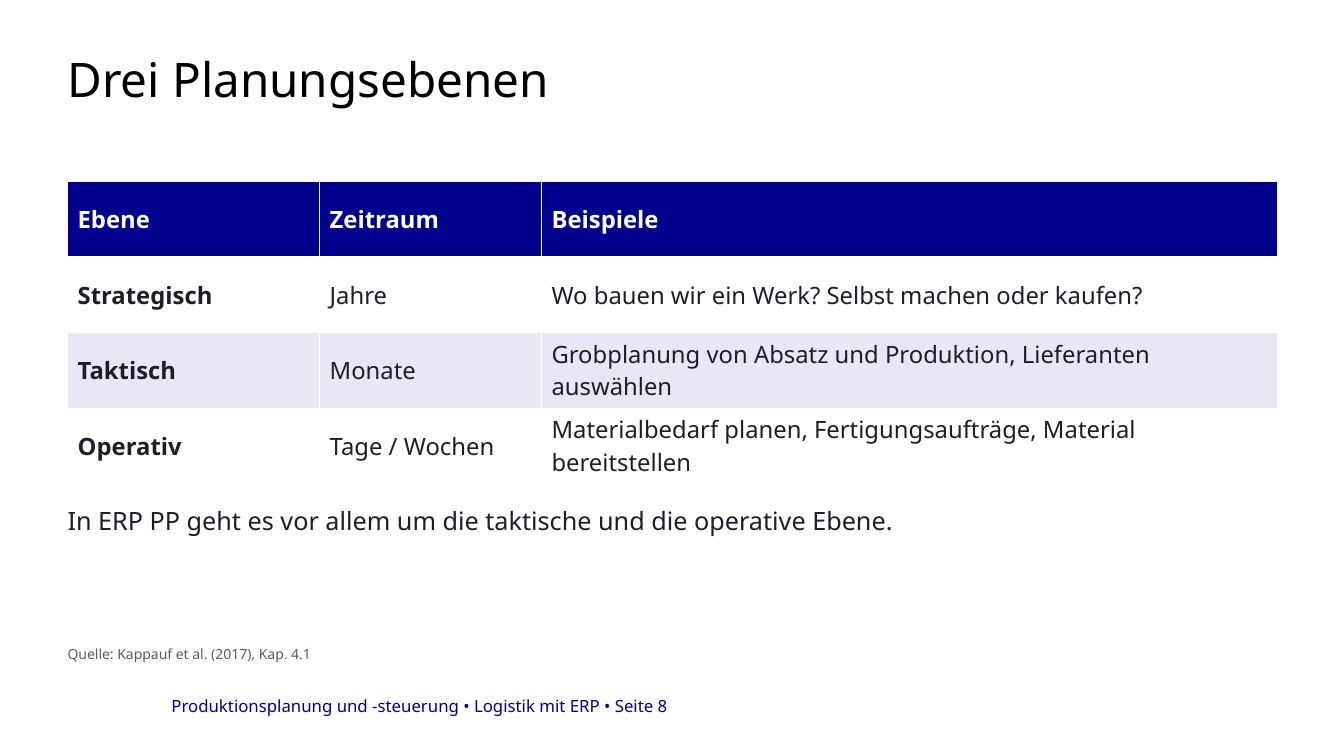
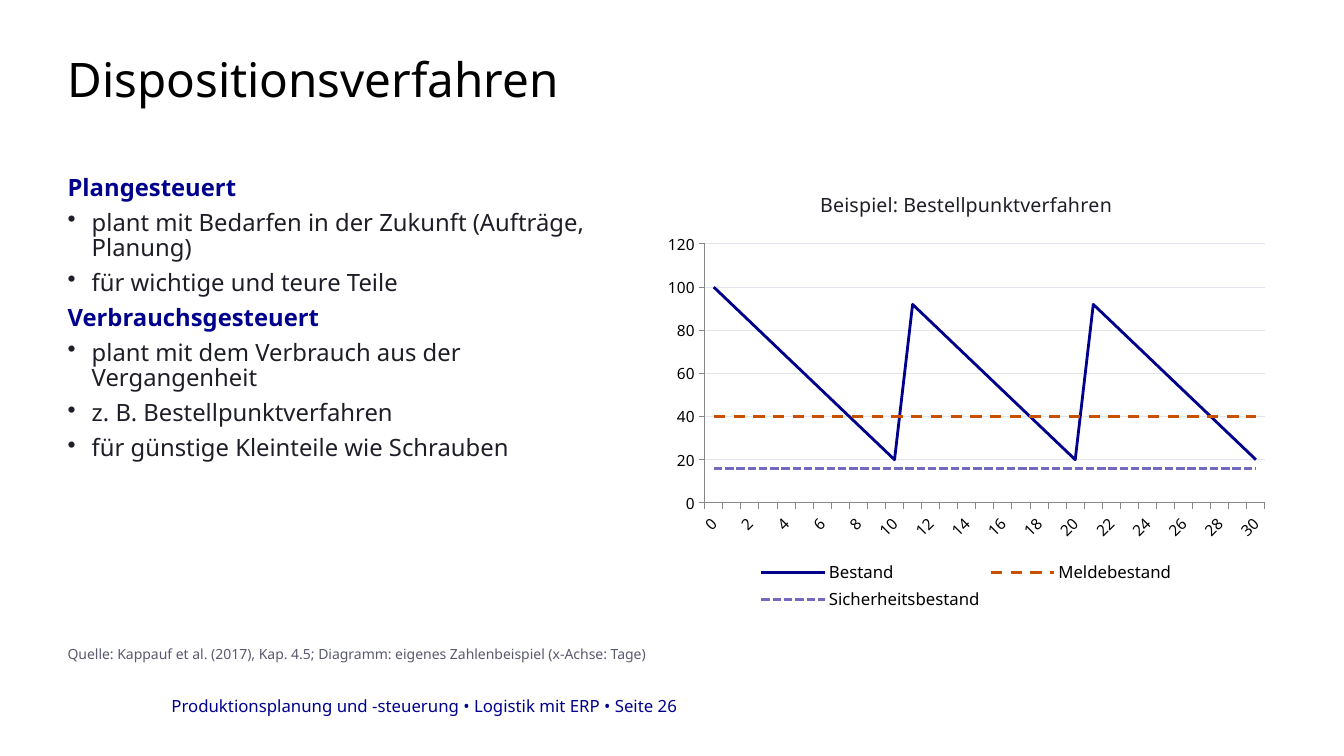
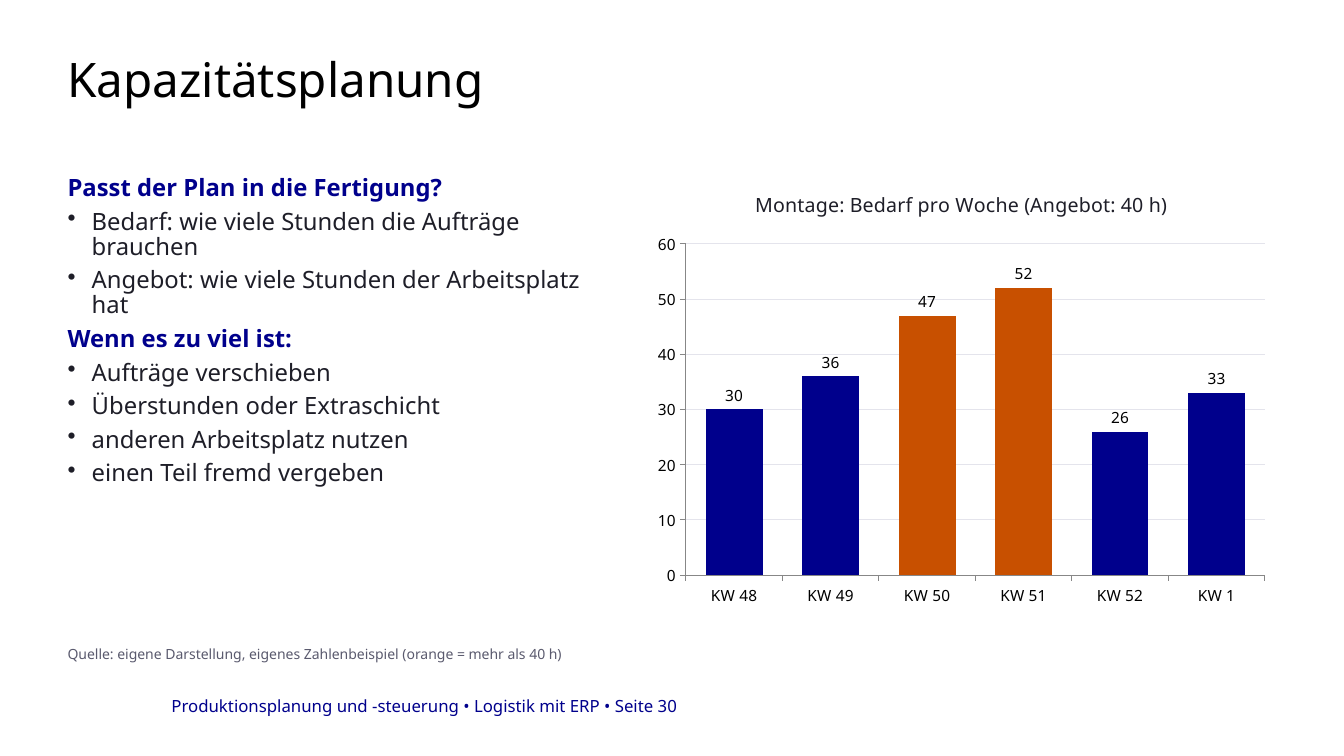
from lxml import etree
from pptx import Presentation
from pptx import util as u
from pptx.chart.data import CategoryChartData
from pptx.dml.color import RGBColor
from pptx.enum import chart as ch, dml, text
from pptx.oxml import parse_xml
from pptx.oxml.ns import nsdecls, qn

# Content
TABLE = [
    ("Ebene", "Zeitraum", "Beispiele"),
    ("Strategisch", "Jahre", "Wo bauen wir ein Werk? Selbst machen oder kaufen?"),
    ("Taktisch", "Monate", "Grobplanung von Absatz und Produktion, Lieferanten auswählen"),
    ("Operativ", "Tage / Wochen",
     "Materialbedarf planen, Fertigungsaufträge, Material bereitstellen"),
]
COL_WIDTHS = (250, 220, 730)
ROW_HEIGHT = 75
TABLE_NOTE = "In ERP PP geht es vor allem um die taktische und die operative Ebene."

METHODS = [
    ("Plangesteuert", [
        "plant mit Bedarfen in der Zukunft (Aufträge, Planung)",
        "für wichtige und teure Teile"]),
    ("Verbrauchsgesteuert", [
        "plant mit dem Verbrauch aus der Vergangenheit",
        "z. B. Bestellpunktverfahren",
        "für günstige Kleinteile wie Schrauben"]),
]
CAPACITY = [
    ("Passt der Plan in die Fertigung?", [
        "Bedarf: wie viele Stunden die Aufträge brauchen",
        "Angebot: wie viele Stunden der Arbeitsplatz hat"]),
    ("Wenn es zu viel ist:", [
        "Aufträge verschieben",
        "Überstunden oder Extraschicht",
        "anderen Arbeitsplatz nutzen",
        "einen Teil fremd vergeben"]),
]

DAYS = range(31)
STOCK = [100, *range(92, 19, -8)] + 2 * [*range(92, 19, -8)]
REORDER, SAFETY = 40, 16
WEEKS = {"KW 48": 30, "KW 49": 36, "KW 50": 47, "KW 51": 52, "KW 52": 26, "KW 1": 33}
SUPPLY = 40

# Shared look
FONT = "Noto Sans"
BLACK, WHITE, NAVY, INK = "000000", "FFFFFF", "00008C", "1E1E28"
GREY, BAND, GRID, ORANGE, VIOLET = "5A5A6E", "E8E8F5", "E4E4EC", "C85000", "7369BE"
LEFT, WIDTH = 67, 1200
FOOTER = "Produktionsplanung und -steuerung • Logistik mit ERP • Seite {}"


def px(n):
    return u.Emu(n * 9144)


def rgb(h):
    return RGBColor.from_string(h)


def style(font, size, color, bold=False):
    for name, value in dict(name=FONT, size=u.Pt(size), bold=bold).items():
        setattr(font, name, value)
    font.color.rgb = rgb(color)


def set_frame(tf, top=0):
    values = dict(margin_left=0, margin_top=px(top), margin_right=0, margin_bottom=0,
                  word_wrap=True, vertical_anchor=text.MSO_ANCHOR.TOP,
                  auto_size=text.MSO_AUTO_SIZE.NONE)
    for name, value in values.items():
        setattr(tf, name, value)


def add_run(p, words, size, color, bold=False):
    r = p.add_run()
    r.text = words
    style(r.font, size, color, bold)


def add_line(slide, box, words, size, color, spacing=0.9):
    tf = slide.shapes.add_textbox(*map(px, box)).text_frame
    set_frame(tf)
    tf.paragraphs[0].line_spacing = spacing
    add_run(tf.paragraphs[0], words, size, color)


def add_slide(prs, title, source, page):
    slide = prs.slides.add_slide(prs.slide_layouts[5])
    sp = slide.shapes.title
    sp.left, sp.top, sp.width, sp.height = map(px, (LEFT, 44, WIDTH, 71))
    set_frame(sp.text_frame, top=12)
    p = sp.text_frame.paragraphs[0]
    p.alignment, p.line_spacing = text.PP_ALIGN.LEFT, 0.9
    add_run(p, title, 34, BLACK)
    add_line(slide, (LEFT, 642, WIDTH, 30), source, 10, GREY)
    add_line(slide, (170, 690, 791, 20), FOOTER.format(page), 12, NAVY, spacing=1.0)
    return slide


def add_outline(slide, sections, width, gap):
    tf = slide.shapes.add_textbox(*map(px, (LEFT, 175, width, 440))).text_frame
    set_frame(tf)
    lines = [(words, words == head) for head, items in sections for words in (head, *items)]
    for i, (words, is_head) in enumerate(lines):
        p = tf.add_paragraph() if i else tf.paragraphs[0]
        p.line_spacing, p.space_after = 0.88, u.Pt(gap)
        if not is_head:
            pPr = p._p.get_or_add_pPr()
            pPr.set("marL", str(px(24)))
            pPr.set("indent", str(-px(24)))
            etree.SubElement(pPr, qn("a:buChar")).set("char", "•")
        add_run(p, words, 17, NAVY if is_head else INK, is_head)


def set_borders(cell):
    tcPr = cell._tc.get_or_add_tcPr()
    for i, side in enumerate("LRTB"):
        tcPr.insert(i, parse_xml(
            f'<a:ln{side} {nsdecls("a")} w="12700"><a:solidFill>'
            f'<a:srgbClr val="{WHITE}"/></a:solidFill></a:ln{side}>'))


def add_level_table(slide):
    box = (LEFT, 180, WIDTH, ROW_HEIGHT * len(TABLE))
    table = slide.shapes.add_table(len(TABLE), len(COL_WIDTHS), *map(px, box)).table
    for col, width in zip(table.columns, COL_WIDTHS):
        col.width = px(width)
    for i, row in enumerate(TABLE):
        table.rows[i].height = px(ROW_HEIGHT)
        for j, words in enumerate(row):
            cell = table.cell(i, j)
            cell.vertical_anchor = text.MSO_ANCHOR.MIDDLE
            cell.fill.solid()
            cell.fill.fore_color.rgb = rgb(NAVY if i == 0 else BAND if i == 2 else WHITE)
            add_run(cell.text_frame.paragraphs[0], words, 17,
                    INK if i else WHITE, i == 0 or j == 0)
            set_borders(cell)


def add_chart(slide, kind, left, title, cats, series, top, step):
    data = CategoryChartData()
    data.categories = cats
    for name, values in series:
        data.add_series(name, values)
    box = (left, 170, LEFT + WIDTH - left, 440)
    chart = slide.shapes.add_chart(kind, *map(px, box), data).chart
    style(chart.font, 18, BLACK)
    chart.has_legend = False
    chart.has_title = True
    add_run(chart.chart_title.text_frame.paragraphs[0], title, 14, INK)
    chart.chart_title.include_in_layout = False
    for axis in (chart.category_axis, chart.value_axis):
        axis.major_tick_mark = ch.XL_TICK_MARK.OUTSIDE
        axis.minor_tick_mark = ch.XL_TICK_MARK.NONE
        style(axis.tick_labels.font, 11, BLACK)
    axis = chart.value_axis
    axis.minimum_scale, axis.maximum_scale, axis.major_unit = 0, top, step
    axis.has_major_gridlines = True
    grid = axis.major_gridlines.format.line
    grid.color.rgb, grid.width = rgb(GRID), u.Pt(0.75)
    chart.plots[0].vary_by_categories = False
    return chart


def add_stock_chart(slide):
    series = [("Bestand", STOCK), ("Meldebestand", [REORDER] * len(DAYS)),
              ("Sicherheitsbestand", [SAFETY] * len(DAYS))]
    chart = add_chart(slide, ch.XL_CHART_TYPE.LINE, 650, "Beispiel: Bestellpunktverfahren",
                      [str(d) for d in DAYS], series, 120, 20)
    chart.has_legend = True
    chart.legend.position = ch.XL_LEGEND_POSITION.BOTTOM
    chart.legend.include_in_layout = False
    style(chart.legend.font, 12, BLACK)
    looks = [(NAVY, None), (ORANGE, dml.MSO_LINE.DASH), (VIOLET, dml.MSO_LINE.SQUARE_DOT)]
    for s, (color, dash) in zip(chart.plots[0].series, looks):
        s.smooth = False
        s.marker.style = ch.XL_MARKER_STYLE.NONE
        line = s.format.line
        line.color.rgb, line.width = rgb(color), u.Pt(2)
        if dash:
            line.dash_style = dash


def add_load_chart(slide):
    chart = add_chart(slide, ch.XL_CHART_TYPE.COLUMN_CLUSTERED, 640,
                      f"Montage: Bedarf pro Woche (Angebot: {SUPPLY} h)",
                      list(WEEKS), [("Bedarf", list(WEEKS.values()))], 60, 10)
    plot = chart.plots[0]
    plot.gap_width = 70
    s = plot.series[0]
    s.invert_if_negative = False
    s.format.fill.solid()
    s.format.fill.fore_color.rgb = rgb(NAVY)
    for i, hours in enumerate(WEEKS.values()):
        if hours > SUPPLY:
            fill = s.points[i].format.fill
            fill.solid()
            fill.fore_color.rgb = rgb(ORANGE)
    labels = s.data_labels
    labels.show_value = True
    labels.position = ch.XL_LABEL_POSITION.OUTSIDE_END
    style(labels.font, 11, BLACK)


def main():
    prs = Presentation()
    prs.slide_width, prs.slide_height = px(1333), px(750)

    # Planning levels
    slide = add_slide(prs, "Drei Planungsebenen", "Quelle: Kappauf et al. (2017), Kap. 4.1", 8)
    add_level_table(slide)
    add_line(slide, (LEFT, 505, WIDTH, 50), TABLE_NOTE, 18, INK)

    # Replenishment methods
    slide = add_slide(prs, "Dispositionsverfahren",
                      "Quelle: Kappauf et al. (2017), Kap. 4.5; "
                      "Diagramm: eigenes Zahlenbeispiel (x-Achse: Tage)", 26)
    add_outline(slide, METHODS, 560, 7)
    add_stock_chart(slide)

    # Capacity planning
    slide = add_slide(prs, "Kapazitätsplanung",
                      "Quelle: eigene Darstellung, eigenes Zahlenbeispiel "
                      f"(orange = mehr als {SUPPLY} h)", 30)
    add_outline(slide, CAPACITY, 540, 6)
    add_load_chart(slide)

    prs.save("out.pptx")


if __name__ == "__main__":
    main()
